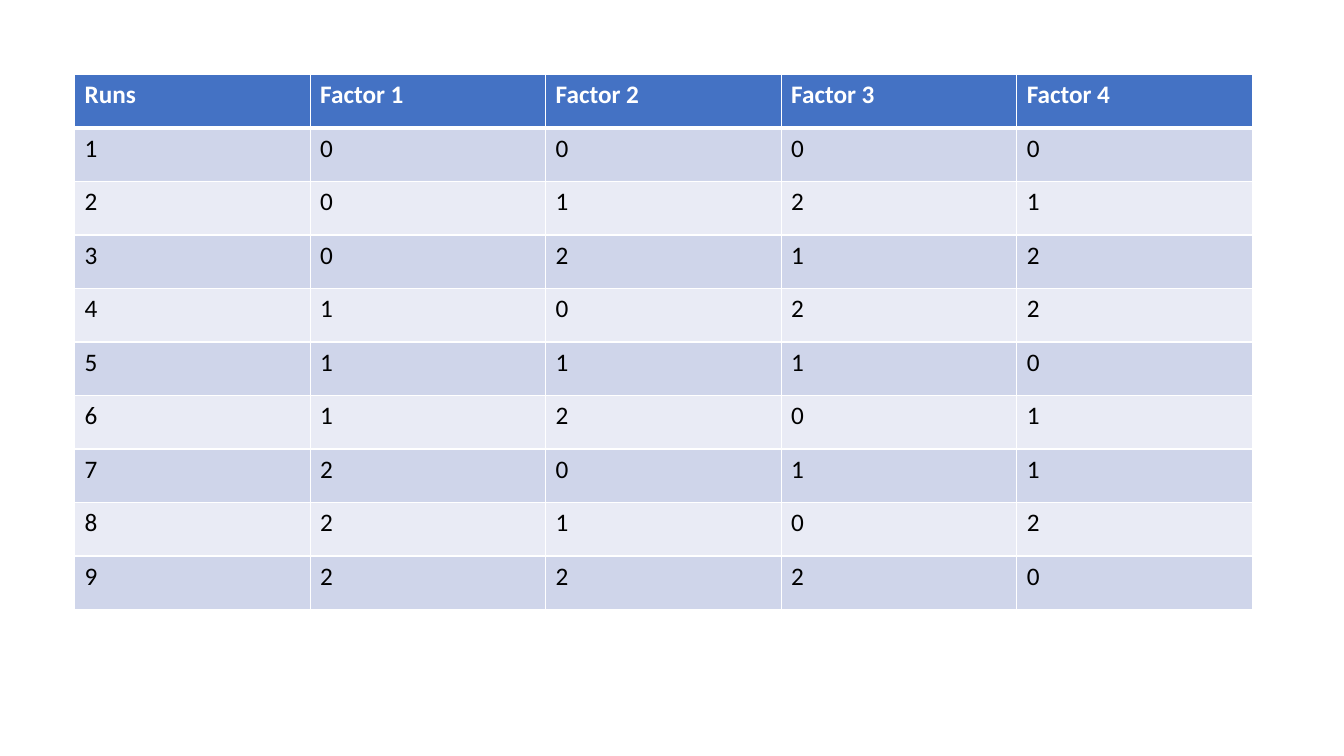
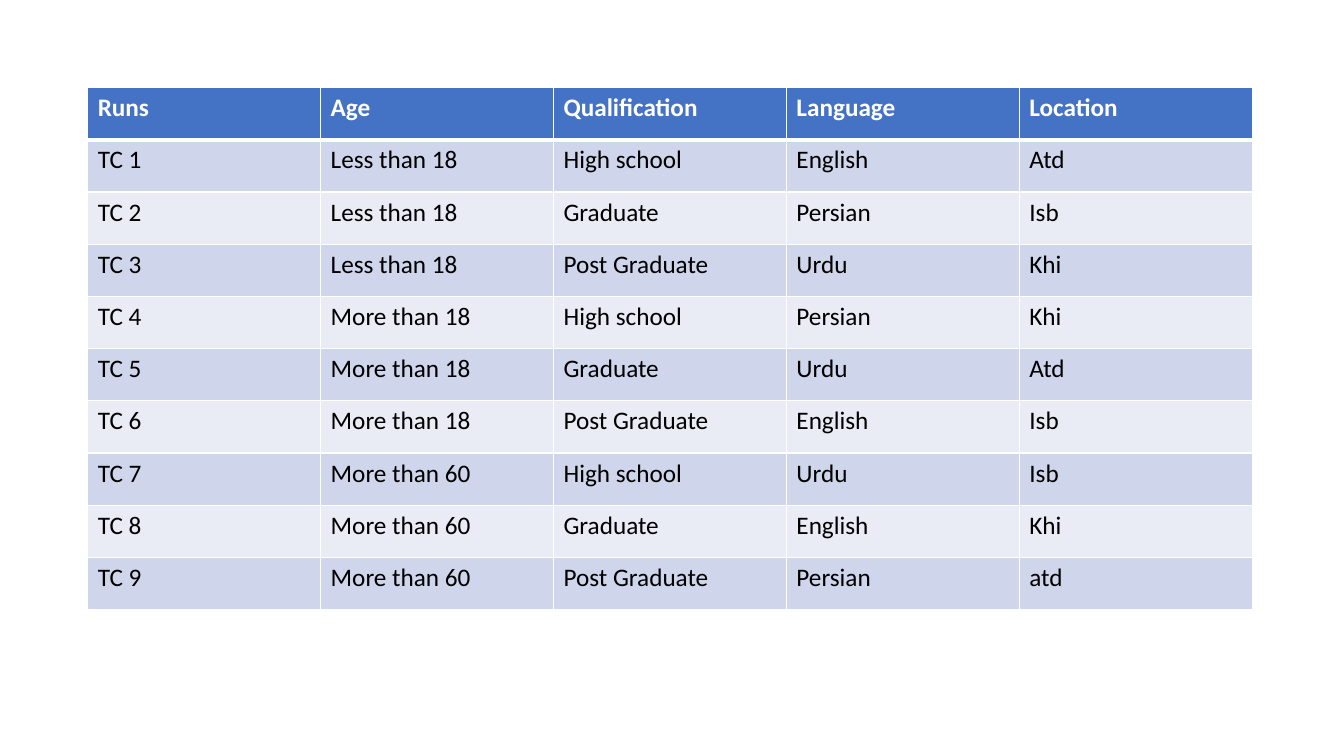
from dataclasses import dataclass

from lxml import etree
from pptx import Presentation
from pptx.dml.color import RGBColor
from pptx.oxml.ns import qn
from pptx.util import Pt

PX = 9144  # EMU per px, 100 px to the inch
SLIDE_SIZE = (1333, 750)
BLANK_LAYOUT = 6


@dataclass(frozen=True)
class Theme:
    font: str = "Calibri"
    text_size: int = 18
    header_fill: str = "4472C4"
    header_text: str = "FFFFFF"
    body_text: str = "000000"
    bands: tuple = ("CFD5EA", "E9EBF5")
    border: str = "FFFFFF"
    thin_border: int = 1
    header_rule: int = 3


THEME = Theme()

TABLES = [
    {
        "box": (74, 74, 1168, 531),
        "rows": [
            ("Runs", "Factor 1", "Factor 2", "Factor 3", "Factor 4"),
            ("1", "0", "0", "0", "0"),
            ("2", "0", "1", "2", "1"),
            ("3", "0", "2", "1", "2"),
            ("4", "1", "0", "2", "2"),
            ("5", "1", "1", "1", "0"),
            ("6", "1", "2", "0", "1"),
            ("7", "2", "0", "1", "1"),
            ("8", "2", "1", "0", "2"),
            ("9", "2", "2", "2", "0"),
        ],
    },
    {
        "box": (87, 87, 1155, 518),
        "rows": [
            ("Runs", "Age", "Qualification", "Language", "Location"),
            ("TC 1", "Less than 18", "High school", "English", "Atd"),
            ("TC 2", "Less than 18", "Graduate", "Persian", "Isb"),
            ("TC 3", "Less than 18", "Post Graduate", "Urdu", "Khi"),
            ("TC 4", "More than 18", "High school", "Persian", "Khi"),
            ("TC 5", "More than 18", "Graduate", "Urdu", "Atd"),
            ("TC 6", "More than 18", "Post Graduate", "English", "Isb"),
            ("TC 7", "More than 60", "High school", "Urdu", "Isb"),
            ("TC 8", "More than 60", "Graduate", "English", "Khi"),
            ("TC 9", "More than 60", "Post Graduate", "Persian", "atd"),
        ],
    },
]


def set_borders(cell, widths):
    """Draw the cell's borders; must run before the fill is set, as XML order matters."""
    properties = cell._tc.get_or_add_tcPr()
    for side, width in widths.items():
        line = etree.SubElement(properties, qn(f"a:ln{side}"), w=str(Pt(width)))
        fill = etree.SubElement(line, qn("a:solidFill"))
        etree.SubElement(fill, qn("a:srgbClr"), val=THEME.border)


def style_cell(cell, row_index):
    is_header = row_index == 0
    widths = dict.fromkeys("LRTB", THEME.thin_border)
    if is_header:
        widths["B"] = THEME.header_rule
    elif row_index == 1:
        widths["T"] = THEME.header_rule
    set_borders(cell, widths)

    band = THEME.bands[(row_index - 1) % len(THEME.bands)]
    cell.fill.solid()
    cell.fill.fore_color.rgb = RGBColor.from_string(THEME.header_fill if is_header else band)

    font = cell.text_frame.paragraphs[0].runs[0].font
    font_format = {"name": THEME.font, "size": Pt(THEME.text_size), "bold": is_header}
    for attribute, value in font_format.items():
        setattr(font, attribute, value)
    font.color.rgb = RGBColor.from_string(THEME.header_text if is_header else THEME.body_text)


def add_banded_table(slide, box, rows):
    left, top, width, height = (length * PX for length in box)
    table = slide.shapes.add_table(len(rows), len(rows[0]), left, top, width, height).table
    for column in table.columns:
        column.width = width // len(rows[0])
    for row_index, values in enumerate(rows):
        table.rows[row_index].height = height // len(rows)
        for column_index, value in enumerate(values):
            cell = table.cell(row_index, column_index)
            cell.text = value
            style_cell(cell, row_index)


def main():
    presentation = Presentation()
    presentation.slide_width, presentation.slide_height = (length * PX for length in SLIDE_SIZE)
    for table in TABLES:
        slide = presentation.slides.add_slide(presentation.slide_layouts[BLANK_LAYOUT])
        add_banded_table(slide, **table)
    presentation.save("out.pptx")


if __name__ == "__main__":
    main()
